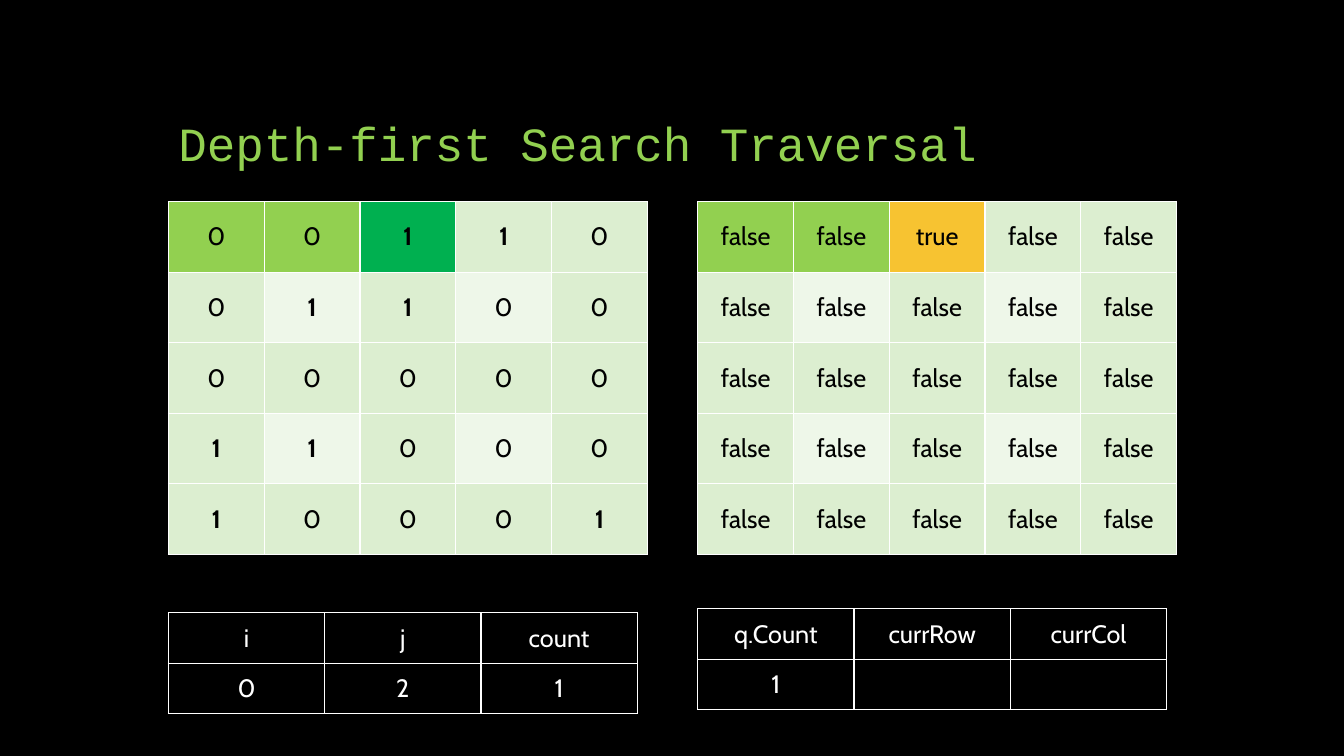
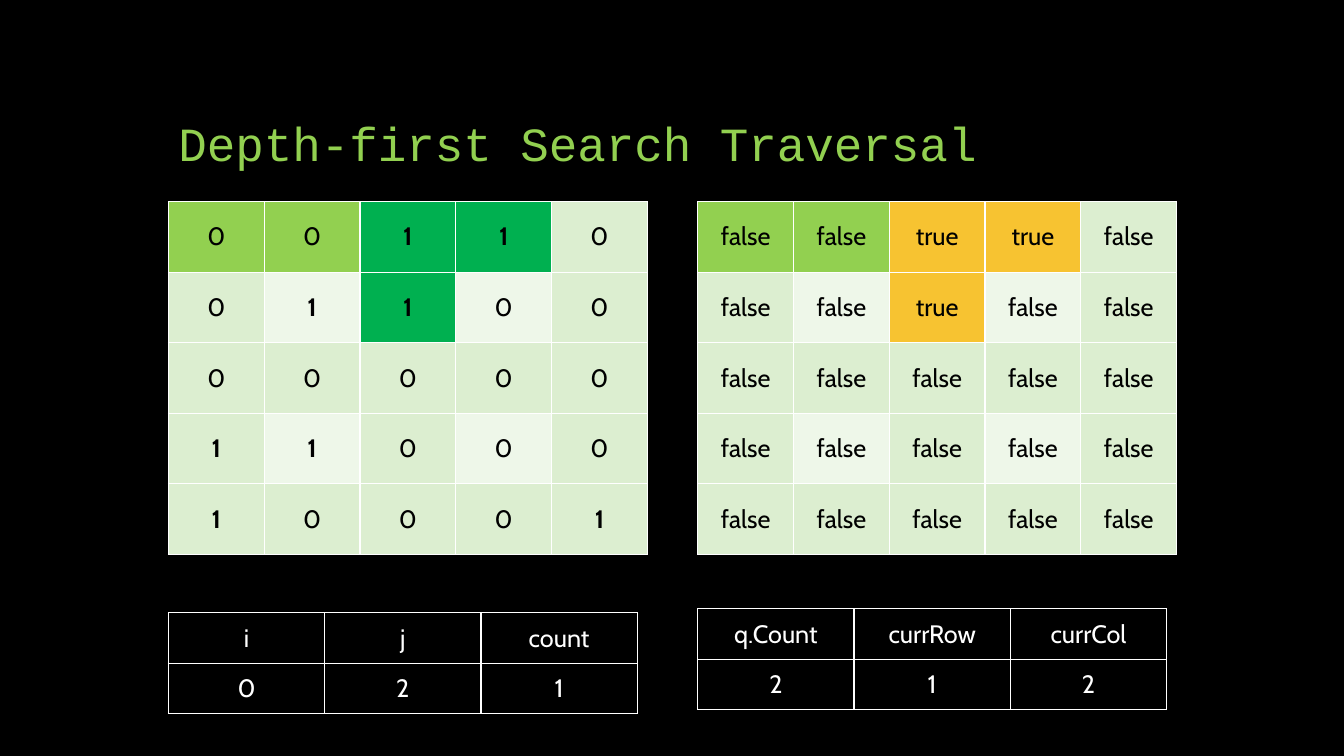
"""Build two slides that step through a depth-first search of a grid."""
from dataclasses import dataclass
from typing import Any, Callable, Optional

from lxml import etree
from pptx import Presentation, util as u
from pptx.dml.color import RGBColor
from pptx.enum import text as t
from pptx.oxml import ns

BLACK = RGBColor(0x00, 0x00, 0x00)
WHITE = RGBColor(0xFF, 0xFF, 0xFF)
LIME = RGBColor(0x92, 0xD0, 0x50)
GREEN = RGBColor(0x00, 0xB0, 0x50)
AMBER = RGBColor(0xF7, 0xC3, 0x31)
PALE = RGBColor(0xDC, 0xEE, 0xD0)
FAINT = RGBColor(0xEE, 0xF7, 0xE9)

SCALE = 9144
SIZE = 5
LEFT, RIGHT = 167, 692
TITLE = "Depth-first Search Traversal"
HEAD_FONT = {"name": "Courier New", "size": u.Pt(34), "bold": False}
CELL_FONT = {"name": "Cabin", "size": u.Pt(18)}
FLAGS = {"first_row": False, "horz_banding": False}

LAND = ["00110", "01100", "00000", "11000", "10001"]
PASSED = {(0, 0), (0, 1)}

Spot = tuple[int, int]
Paint = Callable[[int, int], Optional[RGBColor]]


@dataclass(frozen=True)
class Step:
    """State of the search on one slide."""
    seen: frozenset[Spot]
    queue: list[str]


@dataclass(frozen=True)
class Grid:
    """Table of equal cells, with lengths in px."""
    left: int
    top: int
    width: int
    height: int
    rows: list[list[str]]
    ink: RGBColor
    paint: Paint
    strong: str = ""


STEPS = [
    Step(frozenset({(0, 2)}), ["1", "", ""]),
    Step(frozenset({(0, 2), (0, 3), (1, 2)}), ["2", "1", "2"]),
]


def px(num: int) -> u.Emu:
    """Turn px into EMU."""
    return u.Emu(num * SCALE)


def assign(item: Any, form: dict[str, Any]) -> None:
    """Set attributes from a dict of format values."""
    for key, val in form.items():
        setattr(item, key, val)


def write(para: Any, words: str, ink: RGBColor, form: dict[str, Any]) -> None:
    """Put one styled run into a paragraph."""
    run = para.add_run()
    run.text = words
    assign(run.font, form)
    run.font.color.rgb = ink


def border(cell: Any) -> None:
    """Give a cell thin white edges."""
    props = cell._tc.get_or_add_tcPr()
    for side in "LRTB":
        line = etree.SubElement(props, ns.qn(f"a:ln{side}"), w=str(u.Pt(1)))
        fill = etree.SubElement(line, ns.qn("a:solidFill"))
        etree.SubElement(fill, ns.qn("a:srgbClr"), val=str(WHITE))


def tint(seen: frozenset[Spot], mark: RGBColor) -> Paint:
    """Return the colour rule of a search grid."""
    def pick(row: int, col: int) -> RGBColor:
        """Choose the fill of one cell."""
        if (row, col) in seen:
            return mark
        if (row, col) in PASSED:
            return LIME
        return FAINT if row % 2 and col % 2 else PALE
    return pick


def clear(row: int, col: int) -> None:
    """Leave every cell without a fill."""
    return None


def draw(slide: Any, grid: Grid) -> None:
    """Add one table to a slide."""
    tall, wide = len(grid.rows), len(grid.rows[0])
    table = slide.shapes.add_table(
        tall, wide, px(grid.left), px(grid.top),
        px(grid.width * wide), px(grid.height * tall)).table
    assign(table, FLAGS)
    for col in table.columns:
        col.width = px(grid.width)
    for row in table.rows:
        row.height = px(grid.height)
    for y, line in enumerate(grid.rows):
        for x, words in enumerate(line):
            cell = table.cell(y, x)
            cell.vertical_anchor = t.MSO_ANCHOR.MIDDLE
            border(cell)
            shade = grid.paint(y, x)
            if shade is None:
                cell.fill.background()
            else:
                cell.fill.solid()
                cell.fill.fore_color.rgb = shade
            para = cell.text_frame.paragraphs[0]
            para.alignment = t.PP_ALIGN.CENTER
            if words:
                form = CELL_FONT | {"bold": words == grid.strong}
                write(para, words, grid.ink, form)


def head(slide: Any) -> None:
    """Add the title to a slide."""
    box = slide.shapes.add_textbox(px(LEFT), px(50), px(1000), px(125))
    frame = box.text_frame
    assign(frame, {"word_wrap": True, "vertical_anchor": t.MSO_ANCHOR.BOTTOM})
    para = frame.paragraphs[0]
    para.line_spacing = 0.9
    write(para, TITLE, LIME, HEAD_FONT)


def grids(step: Step) -> list[Grid]:
    """List the four tables of a step."""
    flags = [["true" if (y, x) in step.seen else "false" for x in range(SIZE)]
             for y in range(SIZE)]
    count = [["i", "j", "count"], ["0", "2", "1"]]
    queue = [["q.Count", "currRow", "currCol"], step.queue]
    return [
        Grid(LEFT, 200, 95, 70, [list(line) for line in LAND], BLACK,
             tint(step.seen, GREEN), "1"),
        Grid(RIGHT, 200, 95, 70, flags, BLACK, tint(step.seen, AMBER)),
        Grid(LEFT, 608, 155, 50, count, WHITE, clear),
        Grid(RIGHT, 604, 155, 50, queue, WHITE, clear),
    ]


def main() -> None:
    """Build and save the deck."""
    deck = Presentation()
    assign(deck, {"slide_width": px(1333), "slide_height": px(750)})
    back = deck.slide_master.background.fill
    back.solid()
    back.fore_color.rgb = BLACK
    for step in STEPS:
        slide = deck.slides.add_slide(deck.slide_layouts[6])
        head(slide)
        for grid in grids(step):
            draw(slide, grid)
    deck.save("out.pptx")


if __name__ == "__main__":
    main()
